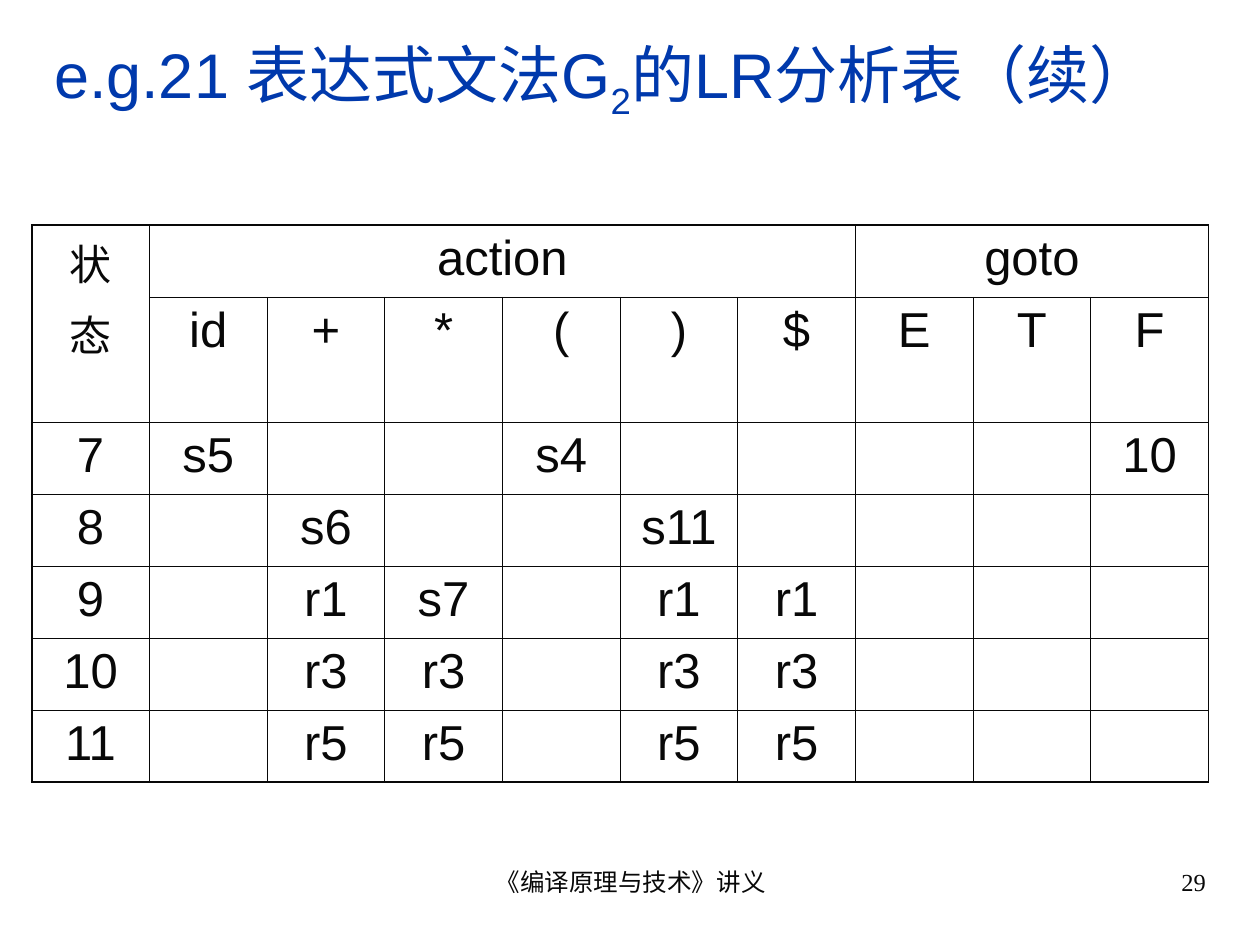
from lxml import etree
from pptx import Presentation
from pptx import util as u
from pptx.dml.color import RGBColor
from pptx.enum import text
from pptx.oxml.ns import qn

INK, BLUE = "080808", "0039AC"
MID, RIGHT = text.PP_ALIGN.CENTER, text.PP_ALIGN.RIGHT


def paint(color, code):
    color.rgb = RGBColor.from_string(code)


class Page:
    thin, thick = 0.45, 1.08

    def __init__(self, deck):
        self.slide = deck.slides.add_slide(deck.slide_layouts[6])

    def style(self, par, size, face="Arial", code=INK, align=None):
        par.alignment = align
        par.font.size = u.Pt(size)
        par.font.name = face
        paint(par.font.color, code)

    def box(self, area, words, size, face="Arial", code=INK, align=None, mid=False):
        shape = self.slide.shapes.add_textbox(*map(u.Cm, area))
        frame = shape.text_frame
        frame.word_wrap = True
        if mid:
            frame.vertical_anchor = text.MSO_ANCHOR.MIDDLE
        par = frame.paragraphs[0]
        self.style(par, size, face, code, align)
        for word, base in words:
            run = par.add_run()
            run.text = word
            if base:
                run.font._element.set("baseline", str(base * 1000))

    def edge(self, cell, side, width):
        line = etree.SubElement(cell._tc.get_or_add_tcPr(), qn("a:ln" + side),
                                w=str(u.Pt(width)))
        fill = etree.SubElement(line, qn("a:solidFill"))
        etree.SubElement(fill, qn("a:srgbClr"), val=INK)

    def grid(self, area, rows, highs, spans):
        tall, wide = len(rows), len(rows[0])
        table = self.slide.shapes.add_table(tall, wide, *map(u.Cm, area)).table
        table.first_row = table.horz_banding = False
        for col in table.columns:
            col.width = u.Cm(area[2] / wide)
        for row, high in zip(table.rows, highs):
            row.height = u.Cm(high)
        for start, end in spans:
            table.cell(*start).merge(table.cell(*end))
        for r, row in enumerate(rows):
            for c, word in enumerate(row):
                cell = table.cell(r, c)
                if not cell.is_spanned:
                    self.fill(cell, word, c == 0,
                              c + cell.span_width >= wide,
                              r == 0, r + cell.span_height >= tall)

    def fill(self, cell, word, *outer):
        for side, out in zip("LRTB", outer):
            self.edge(cell, side, self.thick if out else self.thin)
        cell.fill.background()
        cell.text = word
        for i, par in enumerate(cell.text_frame.paragraphs):
            self.style(par, 24 if "\n" in word else 28, align=MID)
            if i:
                par.space_before = u.Pt(6)


def main():
    deck = Presentation()
    deck.slide_width, deck.slide_height = u.Cm(25.4), u.Cm(19.05)
    page = Page(deck)

    # Title
    page.box((0.84, 0.64, 23.72, 1.9),
             [("e.g.21 表达式文法G", 0), ("2", -25), ("的LR分析表（续）", 0)],
             36, code=BLUE, mid=True)

    # LR parsing table
    rows = [
        ["状\n态", "action", "", "", "", "", "", "goto", "", ""],
        ["", "id", "+", "*", "(", ")", "$", "E", "T", "F"],
        ["7", "s5", "", "", "s4", "", "", "", "", "10"],
        ["8", "", "s6", "", "", "s11", "", "", "", ""],
        ["9", "", "r1", "s7", "", "r1", "r1", "", "", ""],
        ["10", "", "r3", "r3", "", "r3", "r3", "", "", ""],
        ["11", "", "r5", "r5", "", "r5", "r5", "", "", ""],
    ]
    highs = [1.45, 2.52] + [1.45] * 5
    spans = [((0, 0), (1, 0)), ((0, 1), (0, 6)), ((0, 7), (0, 9))]
    page.grid((0.64, 4.54, 23.72, sum(highs)), rows, highs, spans)

    # Footer and page number
    serif = "Times New Roman"
    page.box((8.69, 17.35, 8.05, 1.32), [("《编译原理与技术》讲义", 0)], 14, serif, align=MID)
    page.box((18.21, 17.35, 6.35, 1.32), [("29", 0)], 14, serif, align=RIGHT)

    deck.save("out.pptx")


if __name__ == "__main__":
    main()
